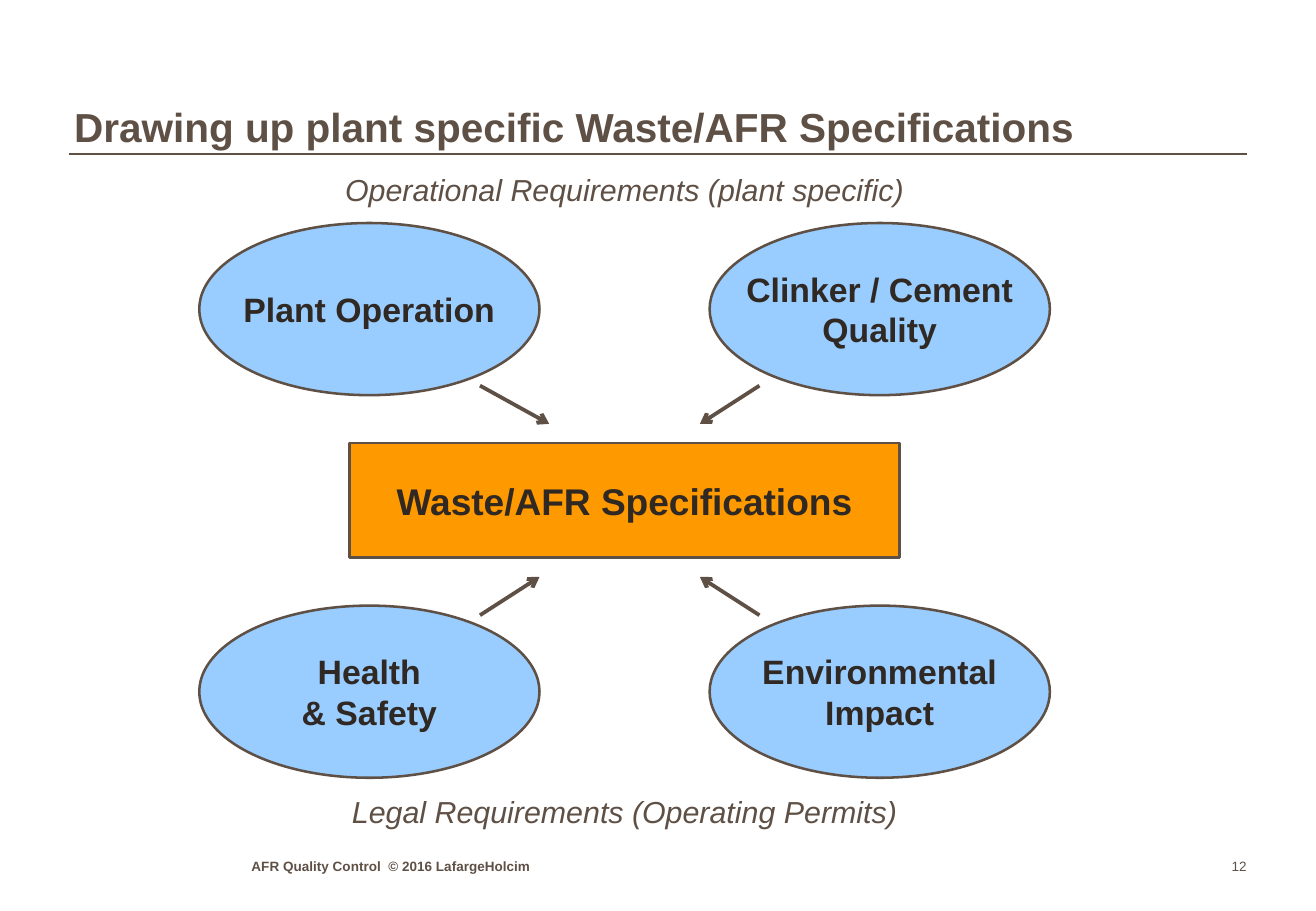
from lxml.etree import SubElement
from pptx import Presentation
from pptx.dml.color import RGBColor
from pptx.enum.shapes import MSO_CONNECTOR, MSO_SHAPE
from pptx.enum.text import MSO_ANCHOR as Anchor, PP_ALIGN as Align
from pptx.oxml.ns import qn
from pptx.util import Inches, Pt

BROWN = RGBColor(0x5F, 0x50, 0x46)
DARK = RGBColor(0x2F, 0x28, 0x23)
BLUE = RGBColor(0x99, 0xCC, 0xFF)
ORANGE = RGBColor(0xFF, 0x99, 0x00)

# Grid: the page margins, and a 2 x 2 arrangement around the diagram's centre
LEFT, RIGHT = 0.57, 10.26
COL, ROW = 4.2, 3.15
MID_X, MID_Y = 5.14, 4.12
OVAL_W, OVAL_H = COL * 2 / 3, ROW * 0.45
DIAGRAM_W = COL + OVAL_W
FOOTER_TOP, FOOTER_H = 7.02, 0.18

deck = Presentation()
deck.slide_width, deck.slide_height = Inches(10.83), Inches(7.5)
slide = deck.slides.add_slide(deck.slide_layouts[6])


def write(holder, lines, size, color, align=Align.LEFT, anchor=Anchor.TOP,
          bold=False, italic=False, wrap=True, inset=None):
    frame = holder.text_frame
    frame.word_wrap = wrap
    frame.vertical_anchor = anchor
    if inset is not None:
        frame.margin_left = frame.margin_right = Inches(inset)
        frame.margin_top = frame.margin_bottom = Inches(inset)
    frame.text = lines
    for paragraph in frame.paragraphs:
        paragraph.alignment = align
        font = paragraph.font
        font.name, font.size, font.color.rgb = "Arial", Pt(size), color
        font.bold, font.italic = bold, italic
    return frame


def draw_line(x1, y1, x2, y2, weight):
    stroke = slide.shapes.add_connector(
        MSO_CONNECTOR.STRAIGHT, Inches(x1), Inches(y1), Inches(x2), Inches(y2))
    stroke.line.color.rgb = BROWN
    stroke.line.width = Pt(weight)
    SubElement(stroke._element.spPr, qn("a:effectLst"))
    return stroke


# Title and rule
draw_line(LEFT, 1.27, RIGHT, 1.27, 1)
title = slide.shapes.add_textbox(Inches(0.61), Inches(0.39), Inches(9.6), Inches(0.87))
title_frame = write(title, "Drawing up plant specific Waste/AFR Specifications",
                    24, BROWN, anchor=Anchor.BOTTOM, bold=True, inset=0)
title_frame.margin_bottom = Inches(0.01)
title_frame.paragraphs[0].line_spacing = 0.95

# Four sources of requirements around the specifications
OVAL, BOX = MSO_SHAPE.OVAL, MSO_SHAPE.RECTANGLE
nodes = [
    (OVAL, -0.5, -0.5, OVAL_W, OVAL_H, BLUE, 20, "Plant Operation"),
    (OVAL, 0.5, -0.5, OVAL_W, OVAL_H, BLUE, 20, "Clinker / Cement\nQuality"),
    (OVAL, -0.5, 0.5, OVAL_W, OVAL_H, BLUE, 20, "Health\n& Safety"),
    (OVAL, 0.5, 0.5, OVAL_W, OVAL_H, BLUE, 20, "Environmental\nImpact"),
    (BOX, 0, 0, 4.53, ROW * 0.3, ORANGE, 22, "Waste/AFR Specifications"),
]
for kind, col, row, width, height, fill, size, label in nodes:
    node = slide.shapes.add_shape(
        kind, Inches(MID_X + col * COL - width / 2), Inches(MID_Y + row * ROW - height / 2),
        Inches(width), Inches(height))
    node.shadow.inherit = False
    node.fill.solid()
    node.fill.fore_color.rgb = fill
    node.line.color.rgb = BROWN
    node.line.width = Pt(1.5)
    write(node, label, size, DARK, Align.CENTER, Anchor.MIDDLE, bold=True, wrap=False)

# Arrows pointing to the specifications: start x, tip x, side of the centre
for start_x, tip_x, side in [(6.25, 5.76, -1), (3.95, 4.52, -1),
                             (3.95, 4.44, 1), (6.25, 5.76, 1)]:
    arrow = draw_line(start_x, MID_Y + side * ROW * 0.3,
                      tip_x, MID_Y + side * ROW * 0.2, 2.25)
    SubElement(arrow.line._get_or_add_ln(), qn("a:tailEnd"), type="arrow")

# Captions above and below
for top, caption in [(1.36, "Operational Requirements (plant specific)"),
                     (6.48, "Legal Requirements (Operating Permits)")]:
    caption_box = slide.shapes.add_textbox(
        Inches(MID_X - DIAGRAM_W / 2), Inches(top), Inches(DIAGRAM_W), Inches(0.4))
    write(caption_box, caption, 18, BROWN, Align.CENTER, italic=True)

# Footer and page number
for left, width, text, align, bold in [
        (2.07, 3.47, "AFR Quality Control  © 2016 LafargeHolcim", Align.LEFT, True),
        (RIGHT - 0.47, 0.47, "12", Align.RIGHT, False)]:
    footer = slide.shapes.add_textbox(
        Inches(left), Inches(FOOTER_TOP), Inches(width), Inches(FOOTER_H))
    write(footer, text, 8, BROWN, align, Anchor.BOTTOM, bold=bold, inset=0)

deck.save("out.pptx")
